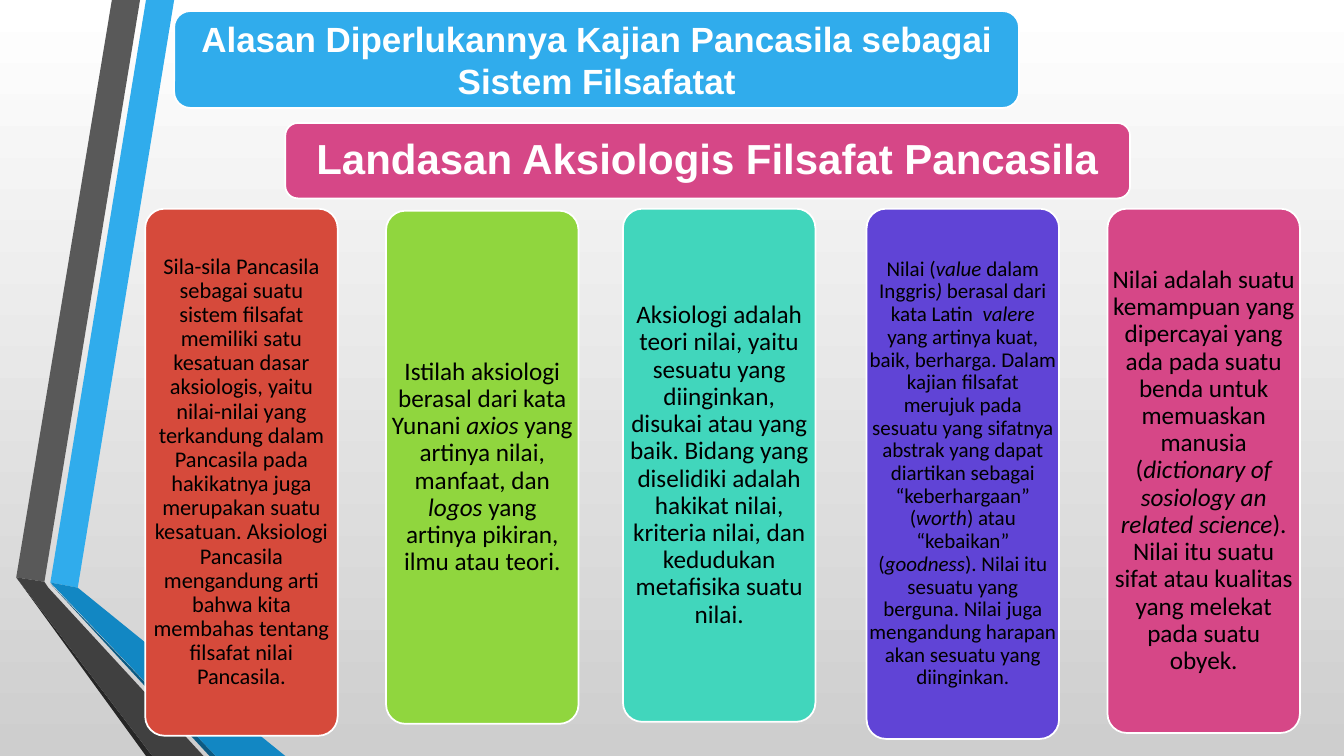
import pptx
import pptx.dml.color
import pptx.enum.shapes
import pptx.enum.text
import pptx.util

Cm = pptx.util.Cm
RGBColor = pptx.dml.color.RGBColor

WHITE = RGBColor(0xFF, 0xFF, 0xFF)
BLACK = RGBColor(0, 0, 0)
SILVER = RGBColor(0xCE, 0xCE, 0xCE)
GREY = RGBColor(0x59, 0x59, 0x59)
DARK_GREY = RGBColor(0x40, 0x40, 0x40)
CHARCOAL = RGBColor(0x26, 0x26, 0x26)
BLUE = RGBColor(0x30, 0xAC, 0xEC)
DEEP_BLUE = RGBColor(0x12, 0x87, 0xC3)
NAVY = RGBColor(0x0C, 0x5A, 0x82)
RED = RGBColor(0xD6, 0x4A, 0x3B)
GREEN = RGBColor(0x90, 0xD6, 0x3E)
TEAL = RGBColor(0x41, 0xD6, 0xBC)
VIOLET = RGBColor(0x60, 0x44, 0xD6)
PINK = RGBColor(0xD6, 0x47, 0x87)

deck = pptx.Presentation()
deck.slide_width, deck.slide_height = Cm(33.87), Cm(19.05)
page = deck.slides.add_slide(deck.slide_layouts[6])


def add_card(text, *, left, top, width, height, fill, size, inset, corner=0.1667,
             font="Calibri", color=BLACK, bold=False, spacing=0.9):
    """Rounded card with centred text; *asterisks* enclose italics."""
    frame = [Cm(length) for length in (left, top, width, height)]
    card = page.shapes.add_shape(
        pptx.enum.shapes.MSO_SHAPE.ROUNDED_RECTANGLE, *frame)
    card.adjustments[0] = corner
    card.shadow.inherit = False
    card.fill.solid()
    card.fill.fore_color.rgb = fill
    card.line.color.rgb = WHITE
    card.line.width = pptx.util.Pt(1.25)

    # The text has its own box, so that it may use the full card width
    box = page.shapes.add_textbox(*frame).text_frame
    box.word_wrap = True
    box.vertical_anchor = pptx.enum.text.MSO_ANCHOR.MIDDLE
    box.margin_left = box.margin_right = Cm(inset)
    box.margin_top = box.margin_bottom = Cm(inset)
    for number, line in enumerate(text.split("\n")):
        para = box.add_paragraph() if number else box.paragraphs[0]
        para.alignment = pptx.enum.text.PP_ALIGN.CENTER
        para.line_spacing = spacing
        for index, part in enumerate(line.split("*")):
            span = para.add_run()
            span.text = part
            span.font.name = font
            span.font.size = pptx.util.Pt(size)
            span.font.bold = bold
            span.font.italic = index % 2 == 1
            span.font.color.rgb = color


# Background gradient, white at the top
backdrop = page.background.fill
backdrop.gradient()
backdrop.gradient_angle = 270
for stop, color in zip(backdrop.gradient_stops, (WHITE, SILVER)):
    stop.color.rgb = color

# Folded bands on the left, corner points in centimetres
bands = [
    (BLUE, [(1.27, 14.68), (1.96, 14.81), (4.39, 0), (3.68, 0)]),
    (GREY, [(3.53, 0), (2.82, 0), (0.41, 14.55), (1.12, 14.66)]),
    (CHARCOAL, [(0.41, 14.55), (3.68, 19.05), (3.84, 19.05)]),
    (NAVY, [(1.27, 14.71), (5.28, 19.05), (5.44, 19.05)]),
    (DEEP_BLUE, [(1.27, 14.68), (5.44, 19.05), (7.19, 19.05), (1.96, 14.81)]),
    (DARK_GREY, [(5.13, 19.05), (1.22, 14.81), (1.12, 14.66), (0.41, 14.55),
                 (3.84, 19.05)]),
]
for color, corners in bands:
    points = [(Cm(x), Cm(y)) for x, y in corners]
    outline = page.shapes.build_freeform(*points[0])
    outline.add_line_segments(points[1:])
    band = outline.convert_to_shape()
    band.shadow.inherit = False
    band.fill.solid()
    band.fill.fore_color.rgb = color
    band.line.fill.background()

# Two headings
add_card("Alasan Diperlukannya Kajian Pancasila sebagai\nSistem Filsafatat",
         left=4.39, top=0.28, width=21.29, height=2.44, fill=BLUE, size=25,
         inset=0.25, font="Arial", color=WHITE, bold=True, spacing=1.0)
add_card("Landasan Aksiologis Filsafat Pancasila",
         left=7.19, top=3.1, width=21.29, height=1.9, fill=PINK, size=30,
         inset=0.3, font="Arial", color=WHITE, bold=True)

# Five columns: left, top, height, fill, text size, text
columns = [
    (3.66, 5.26, 13.28, RED, 16,
     "Sila-sila Pancasila sebagai suatu sistem filsafat memiliki satu kesatuan "
     "dasar aksiologis, yaitu nilai-nilai yang terkandung dalam Pancasila pada "
     "hakikatnya juga merupakan suatu kesatuan. Aksiologi Pancasila mengandung "
     "arti bahwa kita membahas tentang filsafat nilai Pancasila."),
    (9.73, 5.31, 12.93, GREEN, 18,
     "Istilah aksiologi berasal dari kata Yunani *axios *yang artinya nilai, "
     "manfaat, dan *logos *yang artinya pikiran, ilmu atau teori."),
    (15.7, 5.26, 12.93, TEAL, 18,
     "Aksiologi adalah teori nilai, yaitu sesuatu yang diinginkan, disukai atau "
     "yang baik. Bidang yang diselidiki adalah hakikat nilai, kriteria nilai, "
     "dan kedudukan metafisika suatu nilai."),
    (21.84, 5.26, 13.36, VIOLET, 15,
     "Nilai (*value *dalam Inggris*) *berasal dari kata Latin  *valere *yang "
     "artinya kuat, baik, berharga. Dalam kajian filsafat merujuk pada sesuatu "
     "yang sifatnya abstrak yang dapat diartikan sebagai “keberhargaan” "
     "(*worth*) atau “kebaikan” (*goodness*). Nilai itu sesuatu yang berguna. "
     "Nilai juga mengandung harapan akan sesuatu yang diinginkan."),
    (27.91, 5.26, 13.21, PINK, 18,
     "Nilai adalah suatu kemampuan yang dipercayai yang ada pada suatu benda "
     "untuk memuaskan manusia (*dictionary of sosiology an related science*). "
     "Nilai itu suatu sifat atau kualitas yang melekat pada suatu obyek."),
]
for left, top, height, fill, size, text in columns:
    add_card(text, left=left, top=top, width=4.85, height=height, fill=fill,
             size=size, inset=0.1 if size == 18 else 0.07, corner=0.1)

deck.save("out.pptx")
